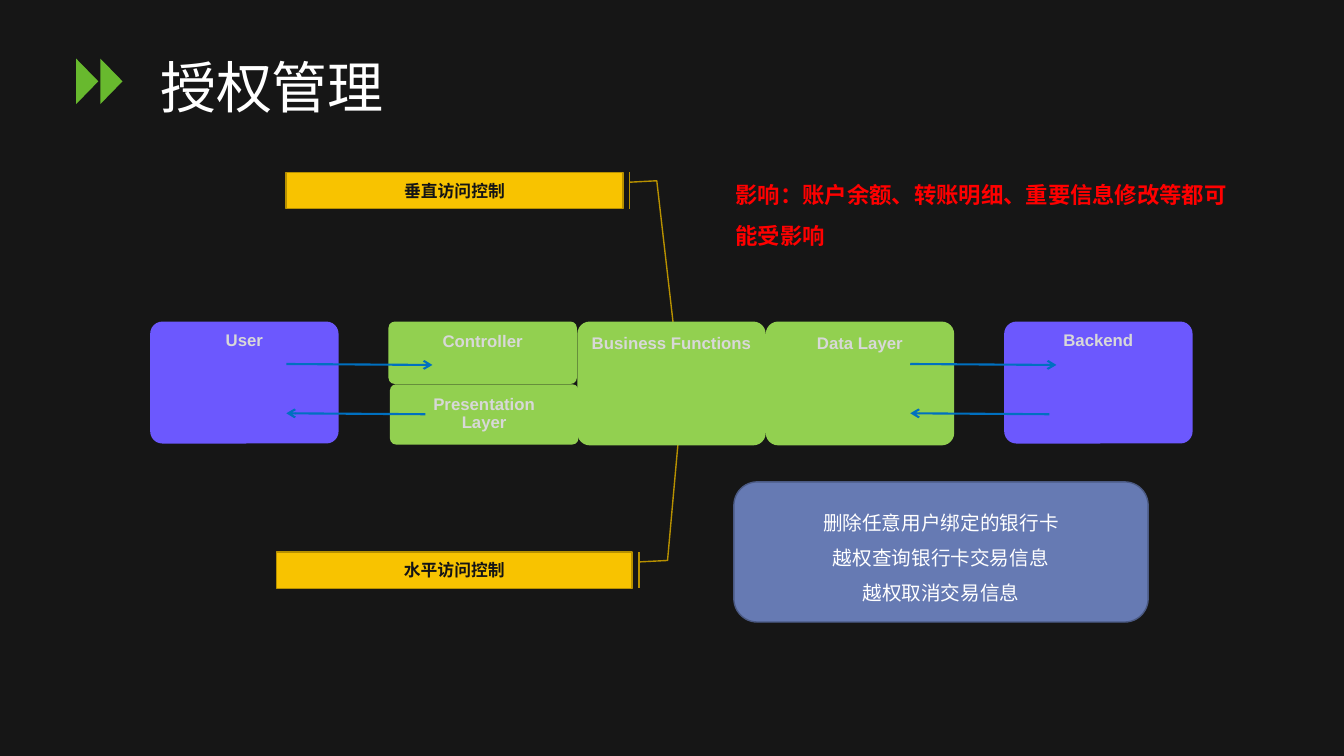
from dataclasses import dataclass

from lxml import etree
from pptx import Presentation
from pptx.dml.color import RGBColor
from pptx.enum.shapes import MSO_CONNECTOR, MSO_SHAPE
from pptx.enum.text import MSO_ANCHOR, PP_ALIGN
from pptx.oxml.ns import qn
from pptx.shapes.autoshape import Shape
from pptx.slide import Slide
from pptx.util import Pt

ROUND = MSO_SHAPE.ROUNDED_RECTANGLE
CALLOUT = MSO_SHAPE.LINE_CALLOUT_2_BORDER_AND_ACCENT_BAR
TRIANGLE = MSO_SHAPE.ISOSCELES_TRIANGLE
STRAIGHT = MSO_CONNECTOR.STRAIGHT
TOP, MIDDLE = MSO_ANCHOR.TOP, MSO_ANCHOR.MIDDLE
LEFT, CENTER = PP_ALIGN.LEFT, PP_ALIGN.CENTER


@dataclass(frozen=True)
class Theme:
    back: str = "161616"
    mark: str = "68B92E"
    white: str = "FFFFFF"
    pale: str = "D8D8D8"
    dark: str = "141415"
    red: str = "FF0000"
    violet: str = "6C58FE"
    green: str = "92D050"
    gold: str = "F8C300"
    bronze: str = "B79000"
    blue: str = "0070C0"
    slate: str = "667AB3"
    navy: str = "4B5A84"
    head: str = "Montserrat"
    body: str = "Arial"
    title: int = 40
    alert: int = 16
    note: int = 14
    label: int = 12


THEME = Theme()


@dataclass(frozen=True)
class Frame:
    left: float
    top: float
    width: float
    height: float


@dataclass(frozen=True)
class Style:
    size: int
    color: str
    bold: bool = False
    font: str = THEME.body
    align: PP_ALIGN = CENTER
    anchor: MSO_ANCHOR = MIDDLE
    pitch: float = 1.0


@dataclass(frozen=True)
class Layer:
    text: str
    frame: Frame
    fill: str
    inset: float
    pitch: float


@dataclass(frozen=True)
class Control:
    text: str
    frame: Frame
    bends: tuple[float, ...]


@dataclass(frozen=True)
class Arrow:
    start: tuple[float, float]
    end: tuple[float, float]


TITLE = Style(THEME.title, THEME.white, font=THEME.head, align=LEFT, pitch=0.9)
ALERT = Style(THEME.alert, THEME.red, bold=True, align=LEFT, anchor=TOP, pitch=1.5)
NOTE = Style(THEME.note, THEME.white, pitch=1.5)
BADGE = Style(THEME.label, THEME.dark, bold=True)

WIDE = 134.6
ROW = 229.7
LAYERS = [
    Layer("User", Frame(107.3, ROW, WIDE, 87.1), THEME.violet, 3.6, 1.0),
    Layer("Controller", Frame(277.5, ROW, WIDE, 44.6), THEME.green, 7, 0.9),
    Layer("Presentation\vLayer", Frame(278.6, 274.5, WIDE, 43), THEME.green, 7, 0.9),
    Layer("Business Functions", Frame(412.4, ROW, WIDE, 88.4), THEME.green, 7, 0.9),
    Layer("Data Layer", Frame(547, ROW, WIDE, 88.4), THEME.green, 7, 0.9),
    Layer("Backend", Frame(717.3, ROW, WIDE, 87.1), THEME.violet, 3.6, 1.0),
]
CONTROLS = [
    Control("垂直访问控制", Frame(204.3, 123.2, 240.8, 25.9),
            (0.27, -0.02, 0.23, -0.1, 5.08, -0.16)),
    Control("水平访问控制", Frame(197.7, 394.4, 253.8, 25.9),
            (0.27, -0.02, 0.23, -0.1, -3.06, -0.13)),
]
ARROWS = [
    arrow
    for left in (204.5, 650.2)
    for arrow in (
        Arrow((left, 260), (left + 104.4, 260.7)),
        Arrow((left + 99.4, 295.9), (left, 295.2)),
    )
]


def paint(color: str) -> RGBColor:
    return RGBColor.from_string(color)


def write(shape: Shape, text: str, style: Style) -> None:
    frame = shape.text_frame
    frame.word_wrap = True
    frame.vertical_anchor = style.anchor
    frame.text = text
    for para in frame.paragraphs:
        para.alignment = style.align
        para.line_spacing = style.pitch
        for run in para.runs:
            run.font.name = style.font
            run.font.size = Pt(style.size)
            run.font.bold = style.bold
            run.font.color.rgb = paint(style.color)


def draw_shape(slide: Slide, kind: MSO_SHAPE, frame: Frame, fill: str,
               edge: str | None = None) -> Shape:
    shape = slide.shapes.add_shape(
        kind, Pt(frame.left), Pt(frame.top), Pt(frame.width), Pt(frame.height))
    shape.shadow.inherit = False
    shape.fill.solid()
    shape.fill.fore_color.rgb = paint(fill)
    if edge:
        shape.line.color.rgb = paint(edge)
        shape.line.width = Pt(1)
    else:
        shape.line.fill.background()
    return shape


def draw_text(slide: Slide, frame: Frame, text: str, style: Style) -> None:
    box = slide.shapes.add_textbox(
        Pt(frame.left), Pt(frame.top), Pt(frame.width), Pt(frame.height))
    write(box, text, style)


def draw_layer(slide: Slide, layer: Layer) -> None:
    shape = draw_shape(slide, ROUND, layer.frame, layer.fill)
    shape.adjustments[0] = 0.1
    frame = shape.text_frame
    frame.margin_top = Pt(layer.inset)
    frame.margin_left = frame.margin_right = Pt(4)
    write(shape, layer.text, Style(
        THEME.label, THEME.pale, bold=True, anchor=TOP, pitch=layer.pitch))


def draw_control(slide: Slide, control: Control) -> None:
    shape = draw_shape(slide, CALLOUT, control.frame, THEME.gold, THEME.bronze)
    for index, bend in enumerate(control.bends):
        shape.adjustments[index] = bend
    shape.element.spPr.find(qn("a:xfrm")).set("flipH", "1")
    write(shape, control.text, BADGE)


def draw_arrow(slide: Slide, arrow: Arrow) -> None:
    line = slide.shapes.add_connector(
        STRAIGHT, *(Pt(value) for value in arrow.start + arrow.end))
    line.line.color.rgb = paint(THEME.blue)
    line.line.width = Pt(1.5)
    tail = etree.SubElement(line.element.spPr.find(qn("a:ln")), qn("a:tailEnd"))
    tail.set("type", "arrow")
    etree.SubElement(line.element.spPr, qn("a:effectLst"))


def main() -> None:
    deck = Presentation()
    deck.slide_width, deck.slide_height = Pt(960), Pt(540)
    slide = deck.slides.add_slide(deck.slide_layouts[6])
    slide.background.fill.solid()
    slide.background.fill.fore_color.rgb = paint(THEME.back)

    for left in (46.1, 63.4):
        mark = draw_shape(slide, TRIANGLE, Frame(left, 50.2, 32.4, 15.8), THEME.mark)
        mark.rotation = 90
    draw_text(slide, Frame(107.3, 12.2, 738.7, 104.4), "授权管理", TITLE)

    for control in CONTROLS:
        draw_control(slide, control)
    for layer in LAYERS:
        draw_layer(slide, layer)
    for arrow in ARROWS:
        draw_arrow(slide, arrow)

    panel = draw_shape(
        slide, ROUND, Frame(524.2, 344.2, 295.9, 100.1), THEME.slate, THEME.navy)
    write(panel, "删除任意用户绑定的银行卡\n越权查询银行卡交易信息\n越权取消交易信息", NOTE)
    draw_text(slide, Frame(518.4, 116.6, 372.2, 61.9),
              "影响：账户余额、转账明细、重要信息修改等都可能受影响", ALERT)
    deck.save("out.pptx")


if __name__ == "__main__":
    main()
